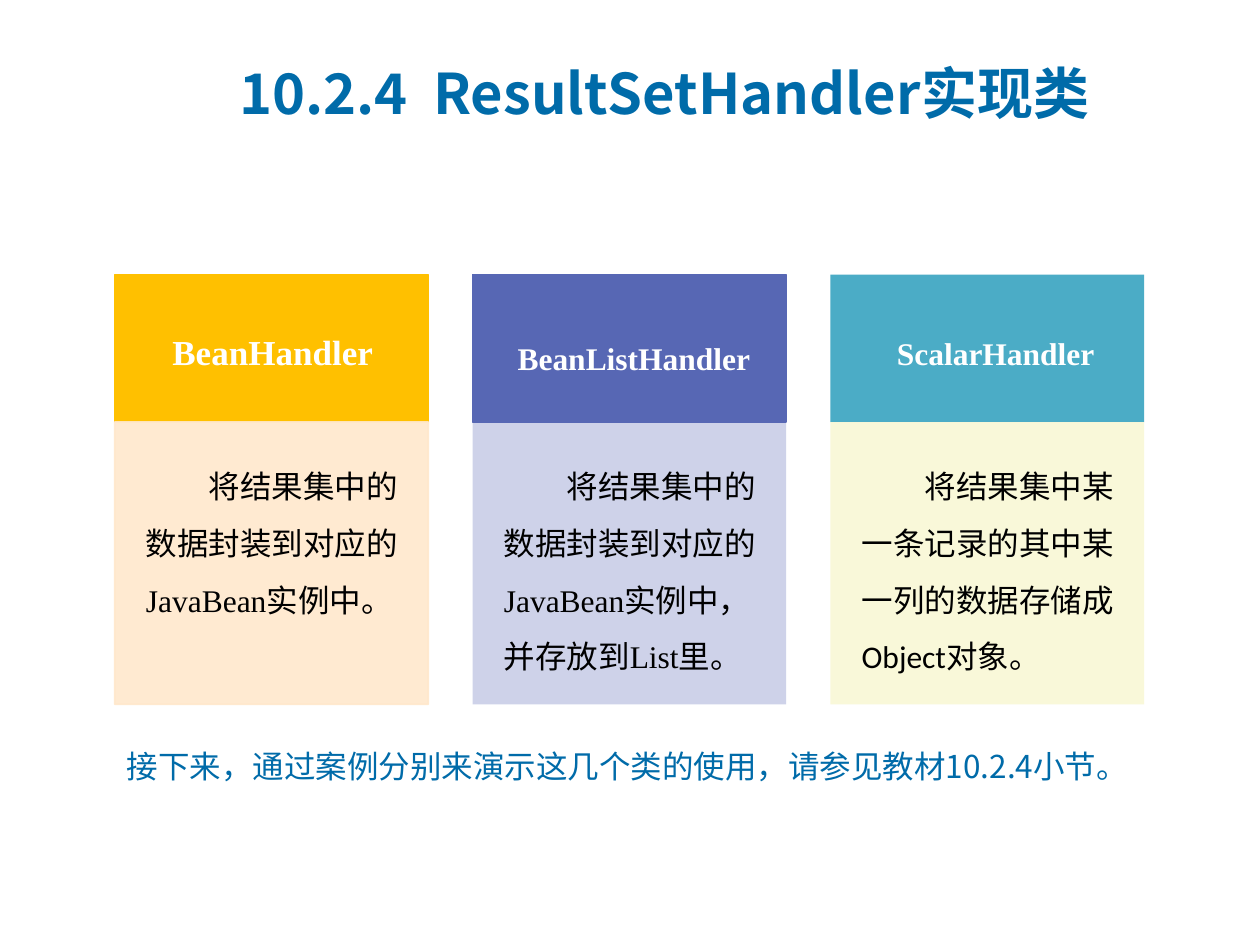
from dataclasses import dataclass

from lxml.etree import SubElement
from pptx import Presentation
from pptx.dml.color import RGBColor
from pptx.enum.shapes import MSO_SHAPE
from pptx.enum.text import MSO_ANCHOR
from pptx.oxml.ns import qn
from pptx.slide import Slide
from pptx.util import Inches, Pt


@dataclass(frozen=True)
class Theme:
    heading: str = "006BA9"
    on_header: str = "FFFFFF"
    body: str = "000000"
    cjk: str = "Noto Sans CJK SC"
    serif: str = "Times New Roman"
    sans: str = "Calibri"
    title_size: int = 32
    lead_size: int = 20
    text_size: int = 18


@dataclass(frozen=True)
class Grid:
    """Card columns and rows, in inches."""
    left: float = 0.91
    pitch: float = 2.84
    card_width: float = 2.49
    header_top: float = 2.18
    header_height: float = 1.17
    body_height: float = 2.24
    body_inset: float = 0.15

    def column(self, index: int) -> float:
        return self.left + index * self.pitch

    @property
    def body_top(self) -> float:
        return self.header_top + self.header_height

    @property
    def total_width(self) -> float:
        return 2 * self.pitch + self.card_width


@dataclass(frozen=True)
class Card:
    name: str
    description: str
    header_fill: str
    body_fill: str
    body_opacity: int
    name_offset: tuple[float, float]
    name_width: float
    name_size: int
    body_font: str
    outlined_header: bool = True
    outlined_body: bool = False


THEME = Theme()
GRID = Grid()
CARDS = (
    Card("BeanHandler", "将结果集中的数据封装到对应的JavaBean实例中。",
         "FFC000", "FFE8CC", 90, (0.36, 0.39), 1.84, THEME.lead_size, THEME.serif,
         outlined_body=True),
    Card("BeanListHandler", "将结果集中的数据封装到对应的JavaBean实例中，并存放到List里。",
         "5767B4", "5767B4", 29, (0.26, 0.46), 2.64, THEME.text_size, THEME.serif),
    Card("ScalarHandler", "将结果集中某一条记录的其中某一列的数据存储成Object对象。",
         "4BACC6", "F9F8D5", 90, (0.43, 0.42), 2, THEME.text_size, THEME.sans,
         outlined_header=False),
)


def add_panel(slide: Slide, left: float, top: float, height: float, color: str,
              opacity: int = 100, outlined: bool = False) -> None:
    panel = slide.shapes.add_shape(MSO_SHAPE.RECTANGLE, Inches(left), Inches(top),
                                   Inches(GRID.card_width), Inches(height))
    panel.shadow.inherit = False
    panel.fill.solid()
    panel.fill.fore_color.rgb = RGBColor.from_string(color)
    if outlined:
        panel.line.color.rgb = RGBColor.from_string(color)
        panel.line.width = Pt(1)
    else:
        panel.line.fill.background()
    if opacity < 100:
        for tint in panel._element.spPr.iter(qn("a:srgbClr")):
            SubElement(tint, qn("a:alpha"), val=str(opacity * 1000))


def add_text(slide: Slide, text: str, left: float, top: float, width: float, height: float,
             *, size: int, font: str, color: str, cjk_font: str = THEME.cjk,
             bold: bool = False, anchor: MSO_ANCHOR = MSO_ANCHOR.TOP, margin: float = 0,
             indent: float = 0, spacing: float = 1, right_inset: float = 0.1) -> None:
    frame = slide.shapes.add_textbox(Inches(left), Inches(top),
                                     Inches(width), Inches(height)).text_frame
    frame.word_wrap = True
    frame.vertical_anchor = anchor
    frame.margin_right = Inches(right_inset)
    paragraph = frame.paragraphs[0]
    paragraph.line_spacing = spacing
    properties = paragraph._p.get_or_add_pPr()
    properties.set("marL", str(Inches(margin)))
    properties.set("indent", str(Inches(indent)))
    run = paragraph.add_run()
    run.text = text
    run.font.size = Pt(size)
    run.font.bold = bold
    run.font.name = font
    run.font.color.rgb = RGBColor.from_string(color)
    SubElement(run._r.get_or_add_rPr(), qn("a:ea"), typeface=cjk_font)


def add_card(slide: Slide, index: int, card: Card) -> None:
    left = GRID.column(index)
    add_panel(slide, left, GRID.header_top, GRID.header_height, card.header_fill,
              outlined=card.outlined_header)
    add_panel(slide, left, GRID.body_top, GRID.body_height, card.body_fill,
              opacity=card.body_opacity, outlined=card.outlined_body)
    across, down = card.name_offset
    add_text(slide, card.name, left + across, GRID.header_top + down, card.name_width, 0.4,
             size=card.name_size, font=THEME.serif, color=THEME.on_header, bold=True)
    add_text(slide, card.description, left + GRID.body_inset, GRID.body_top + 0.16,
             GRID.card_width - 2 * GRID.body_inset, 1.92, size=THEME.text_size,
             font=card.body_font, cjk_font=THEME.sans, color=THEME.body,
             indent=0.5, spacing=1.5, right_inset=0.06)


def main() -> None:
    deck = Presentation()
    deck.slide_width, deck.slide_height = Inches(10), Inches(7.5)
    slide = deck.slides.add_slide(deck.slide_layouts[6])
    for index, card in enumerate(CARDS):
        add_card(slide, index, card)
    add_text(slide, "接下来，通过案例分别来演示这几个类的使用，请参见教材10.2.4小节。",
             GRID.left, 5.88, GRID.total_width, 0.47, size=THEME.text_size,
             font=THEME.cjk, color=THEME.heading, margin=0.38, indent=-0.38)
    add_text(slide, "10.2.4  ResultSetHandler实现类", 1.8, 0.43, 7.49, 0.61,
             size=THEME.title_size, font=THEME.cjk, color=THEME.heading, bold=True,
             anchor=MSO_ANCHOR.MIDDLE, margin=0.62, indent=-0.62)
    deck.save("out.pptx")


if __name__ == "__main__":
    main()
